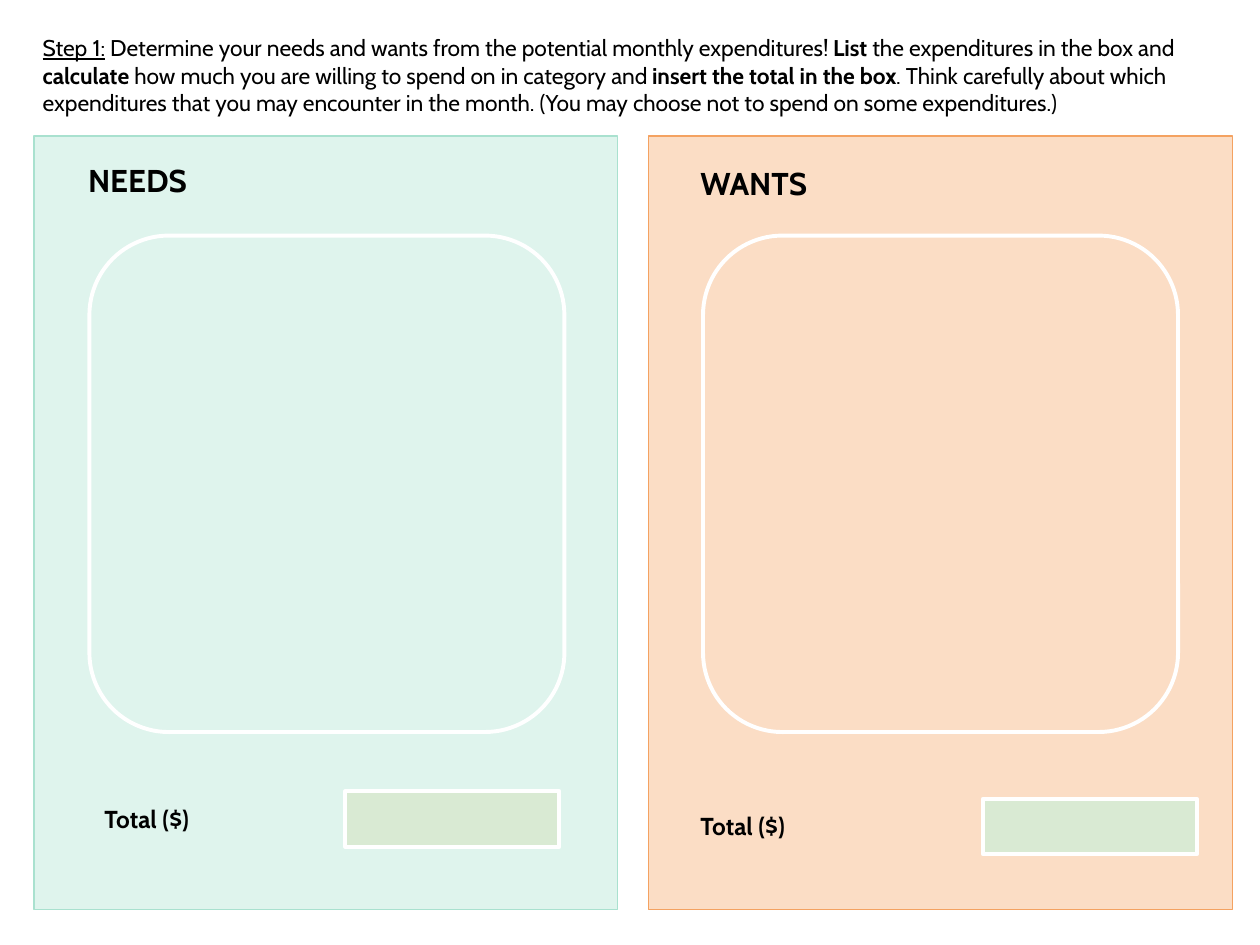
from lxml.etree import SubElement
from pptx import Presentation
from pptx.dml.color import RGBColor
from pptx.enum.shapes import MSO_SHAPE
from pptx.enum.text import MSO_ANCHOR
from pptx.oxml.ns import qn
from pptx.util import Inches, Pt

INSTRUCTIONS = [
    ("Step 1:", "underline"),
    (" Determine your needs and wants from the potential monthly expenditures! ", ""),
    ("List", "bold"),
    (" the expenditures in the box and ", ""),
    ("calculate", "bold"),
    (" how much you are willing to spend on in category and ", ""),
    ("insert the total in the box", "bold"),
    (". Think carefully about which expenditures that you may encounter in the month. "
     "(You may choose not to spend on some expenditures.)", ""),
]
CATEGORIES = [
    dict(heading="NEEDS", tint="needs", heading_at=(0.6, 1.18), list_left=0.71,
         label_left=0.73, total_left=2.74, total_top=6.28),
    dict(heading="WANTS", tint="wants", heading_at=(5.46, 1.2), list_left=5.58,
         label_left=5.46, total_left=7.8, total_top=6.34),
]
TOTAL_LABEL = "Total ($)"
THEME = dict(font="Cabin", text="000000", needs="A9E1CF", wants="F4A261",
             total="D9EAD3", outline="FFFFFF", tint_alpha=36,
             heading_size=18, label_size=14, body_size=13,
             panel_line=0.75, box_line=2.25)
PANEL_LEFT, PANEL_TOP, PANEL_STEP = 0.27, 1.08, 4.88
PANEL_SIZE, LIST_SIZE, TOTAL_SIZE = (4.63, 6.14), (3.77, 3.94), (1.7, 0.44)
LIST_TOP, LABEL_WIDTH = 1.87, 2.81

deck = Presentation()
deck.slide_width, deck.slide_height = Inches(10), Inches(7.5)
slide = deck.slides.add_slide(deck.slide_layouts[6])


def add_box(outline, corner, size, line, weight, fill=None, alpha=None):
    box = slide.shapes.add_shape(outline, *map(Inches, corner + size))
    box.shadow.inherit = False
    box.line.color.rgb = RGBColor.from_string(line)
    box.line.width = Pt(weight)
    if fill is None:
        box.fill.background()
        return box
    box.fill.solid()
    box.fill.fore_color.rgb = RGBColor.from_string(fill)
    if alpha is not None:
        tint = box.fill._xPr.find(qn("a:solidFill"))[0]
        SubElement(tint, qn("a:alpha"), val=str(alpha * 1000))
    return box


def add_text(runs, corner, size, points):
    frame = slide.shapes.add_textbox(*map(Inches, corner + size)).text_frame
    frame.word_wrap = True
    frame.vertical_anchor = MSO_ANCHOR.TOP
    frame.margin_left = frame.margin_right = Inches(0.1)
    frame.margin_top = frame.margin_bottom = Inches(0.1)
    for words, emphasis in runs:
        run = frame.paragraphs[0].add_run()
        run.text = words
        run.font.name = THEME["font"]
        run.font.size = Pt(points)
        run.font.color.rgb = RGBColor.from_string(THEME["text"])
        run.font.bold = emphasis == "bold"
        run.font.underline = emphasis == "underline"


for column, category in enumerate(CATEGORIES):
    tint = THEME[category["tint"]]
    total_top = category["total_top"]
    add_box(MSO_SHAPE.RECTANGLE, (PANEL_LEFT + column * PANEL_STEP, PANEL_TOP),
            PANEL_SIZE, tint, THEME["panel_line"], tint, THEME["tint_alpha"])
    add_text([(category["heading"], "bold")], category["heading_at"],
             (LABEL_WIDTH, 0.5), THEME["heading_size"])
    add_box(MSO_SHAPE.RECTANGLE, (category["total_left"], total_top), TOTAL_SIZE,
            THEME["outline"], THEME["box_line"], THEME["total"])
    expenditures = add_box(MSO_SHAPE.ROUNDED_RECTANGLE,
                           (category["list_left"], LIST_TOP), LIST_SIZE,
                           THEME["outline"], THEME["box_line"])
    expenditures.adjustments[0] = 0.167
    add_text([(TOTAL_LABEL, "bold")], (category["label_left"], total_top),
             (LABEL_WIDTH, 0.44), THEME["label_size"])

add_text(INSTRUCTIONS, (0.24, 0.17), (9.51, 0.86), THEME["body_size"])
deck.save("out.pptx")
